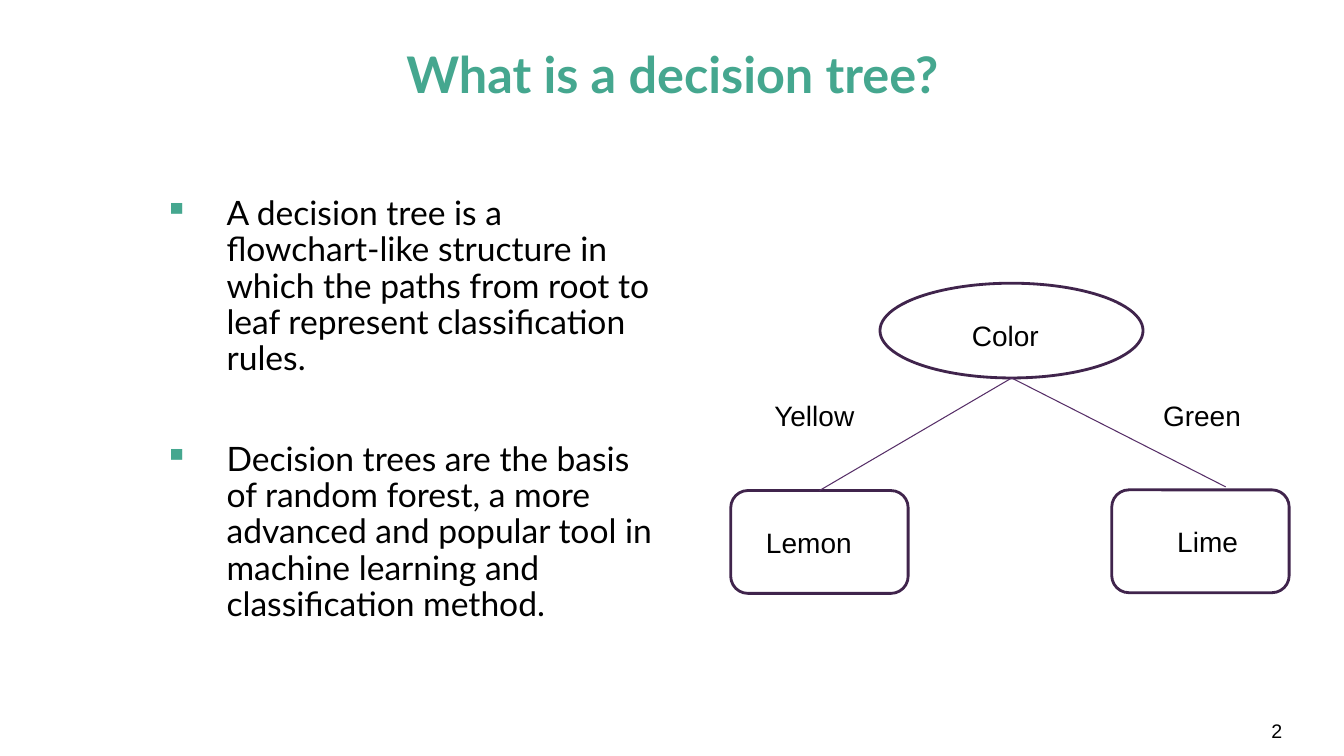
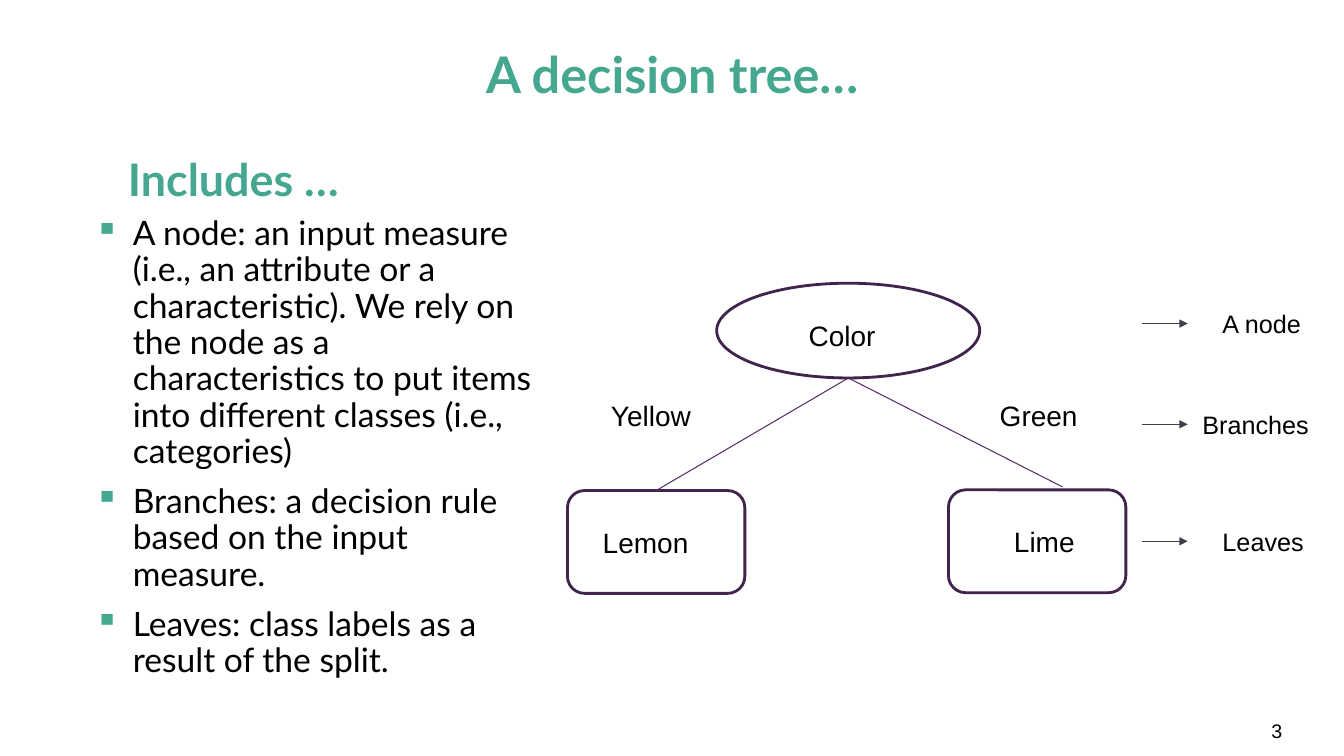
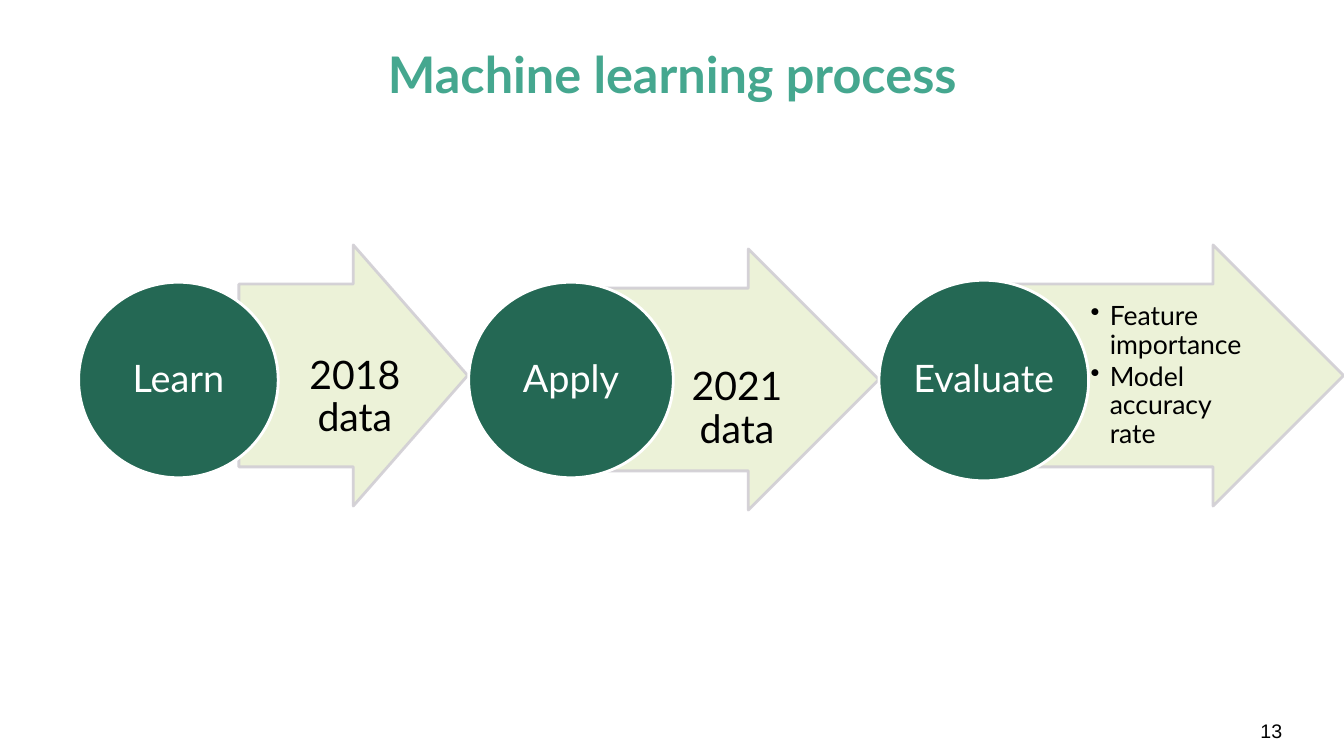
from lxml import etree
from pptx import Presentation
from pptx.dml.color import RGBColor
from pptx.enum.shapes import MSO_CONNECTOR, MSO_SHAPE
from pptx.enum.text import MSO_ANCHOR, MSO_AUTO_SIZE, PP_ALIGN
from pptx.oxml.ns import qn
from pptx.util import Inches, Pt

GREEN = RGBColor(0x45, 0xA7, 0x8F)
DARK_GREEN = RGBColor(0x24, 0x68, 0x54)
PALE_GREEN = RGBColor(0xEA, 0xF1, 0xD4)
PURPLE = RGBColor(0x40, 0x24, 0x4C)
VIOLET = RGBColor(0x56, 0x2E, 0x67)
GRAY = RGBColor(0x3E, 0x40, 0x49)
SILVER = RGBColor(0xD1, 0xCE, 0xD4)
BLACK = RGBColor(0, 0, 0)
WHITE = RGBColor(0xFF, 0xFF, 0xFF)

LEFT, CENTER, RIGHT = PP_ALIGN.LEFT, PP_ALIGN.CENTER, PP_ALIGN.RIGHT
TOP, MIDDLE, BOTTOM = MSO_ANCHOR.TOP, MSO_ANCHOR.MIDDLE, MSO_ANCHOR.BOTTOM
ELLIPSE = MSO_SHAPE.OVAL
ROUNDED = MSO_SHAPE.ROUNDED_RECTANGLE
ARROW = MSO_SHAPE.RIGHT_ARROW
STRAIGHT = MSO_CONNECTOR.STRAIGHT
TOP_SITE = 0

HEADING_FONT, LABEL_FONT = "Lato", "Arial"
COLUMNS, ROWS = 40, 22.5
TITLE_ONLY = 5
INSETS = (0.3, 0.15, 0.3, 0.15)
TIGHT = (0.06, 0.06, 0.06, 0.06)


class Deck:
    def __init__(self):
        self.presentation = Presentation()
        self.cell = Inches(40 / 3) / COLUMNS
        self.presentation.slide_width = self.grid(COLUMNS)
        self.presentation.slide_height = self.grid(ROWS)
        self.slide = None

    def grid(self, cells):
        return round(cells * self.cell)

    def place(self, *cells):
        return [self.grid(value) for value in cells]

    def new_slide(self, title, number):
        layout = self.presentation.slide_layouts[TITLE_ONLY]
        self.slide = self.presentation.slides.add_slide(layout)
        heading = self.slide.shapes.title
        heading.left, heading.top, heading.width, heading.height = self.place(2.76, 1.2, 34.5, 2.19)
        self.set_text(heading, [title], 36, HEADING_FONT, GREEN, True, CENTER, MIDDLE, spacing=0.9)
        self.text((36.45, 21.15, 2.01, 1.2), [str(number)], 14, align=RIGHT, anchor=MIDDLE)

    def set_text(self, shape, lines, size, font=LABEL_FONT, color=BLACK, bold=False,
                 align=LEFT, anchor=TOP, insets=INSETS, spacing=1.0):
        frame = shape.text_frame
        frame.text = "\n".join(lines)
        frame.word_wrap = True
        frame.auto_size = MSO_AUTO_SIZE.NONE
        frame.vertical_anchor = anchor
        (frame.margin_left, frame.margin_top,
         frame.margin_right, frame.margin_bottom) = self.place(*insets)
        for paragraph in frame.paragraphs:
            paragraph.alignment = align
            paragraph.line_spacing = spacing
            for run in paragraph.runs:
                run.font.name = font
                run.font.size = Pt(size)
                run.font.bold = bold
                run.font.color.rgb = color

    def text(self, box, lines, size, **style):
        shape = self.slide.shapes.add_textbox(*self.place(*box))
        self.set_text(shape, lines, size, **style)
        return shape

    def bullets(self, box, lines, size, margin, hanging, gap, mark="▪", color=GREEN, **style):
        shape = self.text(box, lines, size, font=HEADING_FONT, spacing=0.9, **style)
        for index, paragraph in enumerate(shape.text_frame.paragraphs):
            paragraph.space_before = Pt(gap if index else 0)
            properties = paragraph._p.get_or_add_pPr()
            properties.set("marL", str(self.grid(margin)))
            properties.set("indent", str(-self.grid(hanging)))
            bullet_color = etree.SubElement(properties, qn("a:buClr"))
            etree.SubElement(bullet_color, qn("a:srgbClr"), val=str(color))
            etree.SubElement(properties, qn("a:buChar"), char=mark)

    def outline(self, kind, box, line, fill=None):
        shape = self.slide.shapes.add_shape(kind, *self.place(*box))
        shape.shadow.inherit = False
        if fill is None:
            shape.fill.background()
        else:
            shape.fill.solid()
            shape.fill.fore_color.rgb = fill
        shape.line.color.rgb = line
        shape.line.width = Pt(2)
        return shape

    def node(self, kind, box, label, insets):
        shape = self.outline(kind, box, PURPLE)
        self.set_text(shape, [label], 20, anchor=MIDDLE, insets=insets)
        return shape

    def block_arrow(self, box):
        shape = self.outline(ARROW, box, SILVER, PALE_GREEN)
        shape.adjustments[0] = 0.7
        shape.adjustments[1] = 0.5
        for color in shape._element.spPr.iter(qn("a:srgbClr")):
            etree.SubElement(color, qn("a:alpha"), val="90000")

    def circle(self, box, label):
        shape = self.outline(ELLIPSE, box, WHITE, DARK_GREEN)
        self.set_text(shape, [label], 27, HEADING_FONT, WHITE, align=CENTER,
                      anchor=MIDDLE, insets=TIGHT, spacing=0.9)

    def connector(self, start, end, color, head=False):
        connector = self.slide.shapes.add_connector(STRAIGHT, *self.place(*start, *end))
        connector.line.color.rgb = color
        connector.line.width = Pt(0.75)
        properties = connector._element.spPr
        if head:
            etree.SubElement(properties.find(qn("a:ln")), qn("a:tailEnd"), type="triangle")
        etree.SubElement(properties, qn("a:effectLst"))
        return connector

    def tree(self, left):
        self.node(ELLIPSE, (left + 4.44, 8.43, 7.83, 2.82), "Color", (1.59, 0.3, 0, 0))
        lemon = self.node(ROUNDED, (left, 14.6, 5.28, 3.06), "Lemon", (0.9, 0.15, 0, 0.15))
        self.node(ROUNDED, (left + 11.34, 14.58, 5.28, 3.06), "Lime", (1.8, 0.15, 0, 0.15))
        fork = (left + 8.36, 11.25)
        self.connector(fork, (left + 2.64, 14.6), VIOLET).end_connect(lemon, TOP_SITE)
        self.connector(fork, (left + 14.73, 14.49), VIOLET)
        for offset, label in ((1, "Yellow"), (12.57, "Green")):
            self.text((left + offset, 11.7, 4.5, 1.32), [label], 20)

    def legend(self, row, column, label):
        self.connector((34, row), (35.35, row), GRAY, head=True)
        self.text((column, row - 0.75, COLUMNS - column, 1.5), [label], 18,
                  anchor=MIDDLE, insets=(0.3, 0.3, 0, 0.3))


def main():
    deck = Deck()

    deck.new_slide("What is a decision tree?", 2)
    deck.bullets((3.81, 5.7, 16.2, 13.2), [
        "A decision tree is a flowchart-like structure in which the paths from root to leaf "
        "represent classification rules.",
        "Decision trees are the basis of random forest, a more advanced and popular tool in "
        "machine learning and classification method.",
    ], 24, margin=2.64, hanging=1.86, gap=46)
    deck.tree(21.75)

    deck.new_slide("A decision tree…", 3)
    deck.text((2.76, 3.69, 16.92, 2.61), ["Includes …"], 32, font=HEADING_FONT, color=GREEN,
              bold=True, anchor=BOTTOM, insets=(1.05, 0.15, 0.3, 0.15), spacing=0.9)
    deck.bullets((2.16, 6.3, 14.31, 15.63), [
        "A node: an input measure (i.e., an attribute or a characteristic). We rely on the node "
        "as a characteristics to put items into different classes (i.e., categories)",
        "Branches: a decision rule based on the input measure.",
        "Leaves: class labels as a result of the split.",
    ], 24, margin=1.5, hanging=1.14, gap=10)
    deck.tree(16.89)
    for row, column, label in ((9.63, 36.09, "A node"), (12.63, 35.49, "Branches"),
                               (16.11, 36.09, "Leaves")):
        deck.legend(row, column, label)

    deck.new_slide("Machine learning process", 13)
    steps = (
        ("Learn", (2.34, 8.4, 5.94, 5.82), (7.11, 7.29, 6.81, 7.77)),
        ("Apply", (13.95, 8.4, 6.09, 5.82), (17.58, 7.41, 8.58, 7.77)),
        ("Evaluate", (26.16, 8.34, 6.24, 5.97), (29.73, 7.29, 10.26, 7.77)),
    )
    for label, circle, arrow in steps:
        deck.block_arrow(arrow)
        deck.circle(circle, label)
    for box, year, insets in (
        ((8.82, 8.43, 3.33, 5.46), "2018 data", (0.27, 1.4, 0.12, 0.06)),
        ((19.71, 8.58, 4.17, 5.46), "2021 data", (0.4, 1.8, 0.12, 0.06)),
    ):
        deck.text(box, [year], 28, font=HEADING_FONT, align=CENTER, anchor=MIDDLE,
                  insets=insets, spacing=0.9)
    deck.bullets((32.31, 8.46, 5.01, 5.46), ["Feature importance", "Model accuracy rate"], 19,
                 margin=0.57, hanging=0.57, gap=2, mark="•", color=BLACK,
                 anchor=MIDDLE, insets=(0.15, 0.03, 0.09, 0.03))

    deck.presentation.save("out.pptx")


if __name__ == "__main__":
    main()
